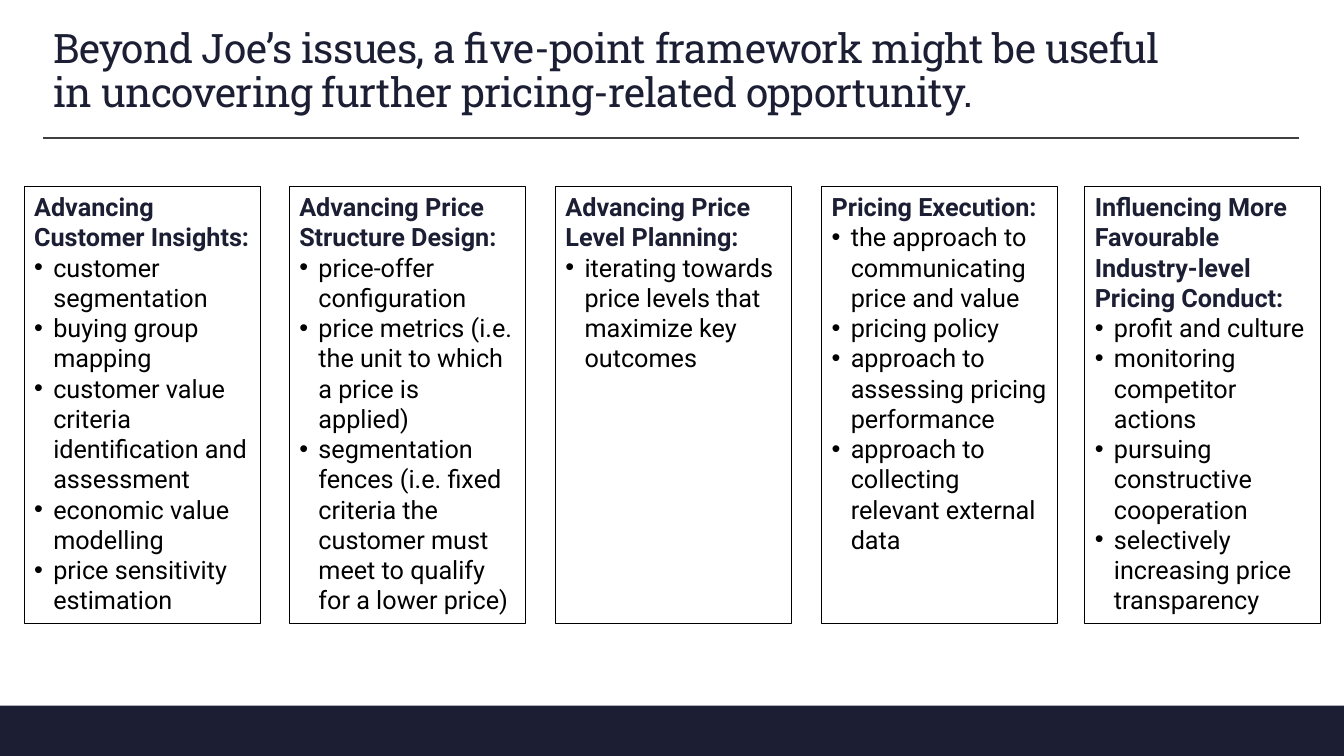
from lxml import etree
from pptx import Presentation
from pptx.dml.color import RGBColor
from pptx.enum.shapes import MSO_CONNECTOR, MSO_SHAPE
from pptx.enum.text import MSO_ANCHOR, MSO_AUTO_SIZE, PP_ALIGN
from pptx.oxml.ns import qn
from pptx.util import Inches, Pt

RECT = MSO_SHAPE.RECTANGLE
STRAIGHT = MSO_CONNECTOR.STRAIGHT
TOP, BOTTOM = MSO_ANCHOR.TOP, MSO_ANCHOR.BOTTOM
LEFT = PP_ALIGN.LEFT
FIXED = MSO_AUTO_SIZE.NONE

COLORS = {"navy": "1C1F33", "rule": "404040", "black": "000000"}

COLUMNS = [
    (0.24, "Advancing Customer Insights:", [
        "customer segmentation",
        "buying group mapping",
        "customer value criteria identification and assessment",
        "economic value modelling",
        "price sensitivity estimation",
    ]),
    (2.87, "Advancing Price Structure Design:", [
        "price-offer configuration",
        "price metrics (i.e. the unit to which a price is applied)",
        "segmentation fences (i.e. fixed criteria the customer must "
        "meet to qualify for a lower price)",
    ]),
    (5.51, "Advancing Price Level Planning:", [
        "iterating towards price levels that maximize key outcomes",
    ]),
    (8.15, "Pricing Execution:", [
        "the approach to communicating price and value",
        "pricing policy",
        "approach to assessing pricing performance",
        "approach to collecting relevant external data",
    ]),
    (10.76, "Influencing More Favourable Industry-level Pricing Conduct:", [
        "profit and culture",
        "monitoring competitor actions",
        "pursuing constructive cooperation",
        "selectively increasing price transparency",
    ]),
]


def style(par, face, size, color, bold=False):
    """Align a paragraph left and set its font."""
    par.alignment = LEFT
    font = par.font
    font.name, font.size, font.bold = face, Pt(size), bold
    font.color.rgb = RGBColor.from_string(COLORS[color])


def add_bullet(par):
    props = par._p.get_or_add_pPr()
    props.set("marL", str(Inches(0.19)))
    props.set("indent", str(Inches(-0.19)))
    mark = etree.Element(qn("a:buChar"), char="•")
    face = etree.Element(qn("a:buFont"), typeface="Arial")
    props.insert(0, mark)
    props.insert(0, face)


prs = Presentation()
prs.slide_width, prs.slide_height = Inches(13.33), Inches(7.5)
slide = prs.slides.add_slide(prs.slide_layouts[5])
shapes = slide.shapes

# Footer band
band = shapes.add_shape(RECT, 0, Inches(7), Inches(13.33), Inches(0.5))
band.shadow.inherit = False
band.fill.solid()
band.fill.fore_color.rgb = RGBColor.from_string(COLORS["navy"])
band.line.fill.background()

# Rule under the title
rule = shapes.add_connector(
    STRAIGHT, Inches(0.43), Inches(1.37), Inches(12.88), Inches(1.37))
rule.line.color.rgb = RGBColor.from_string(COLORS["rule"])
rule.line.width = Pt(1)
etree.SubElement(rule._element.spPr, qn("a:effectLst"))

# Title
title = shapes.title
title.left, title.top = Inches(0.43), Inches(0.18)
title.width, title.height = Inches(11.58), Inches(1.02)
frame = title.text_frame
frame.text = ("Beyond Joe’s issues, a five-point framework might be useful "
              "in uncovering further pricing-related opportunity.")
frame.word_wrap = True
frame.auto_size = FIXED
frame.vertical_anchor = BOTTOM
head = frame.paragraphs[0]
style(head, "Roboto Slab", 29, "navy")
head.line_spacing = 0.9
head.runs[0]._r.get_or_add_rPr().set("spc", "-50")

# Five framework columns
for left, name, points in COLUMNS:
    box = shapes.add_shape(
        RECT, Inches(left), Inches(1.85), Inches(2.34), Inches(4.34))
    box.shadow.inherit = False
    box.fill.background()
    box.line.color.rgb = RGBColor.from_string(COLORS["black"])
    box.line.width = Pt(0.75)
    frame = box.text_frame
    frame.word_wrap = True
    frame.auto_size = FIXED
    frame.vertical_anchor = TOP
    frame.text = name
    style(frame.paragraphs[0], "Roboto", 18, "navy", bold=True)
    for point in points:
        par = frame.add_paragraph()
        par.text = point
        style(par, "Roboto", 18, "black")
        add_bullet(par)

prs.save("out.pptx")
